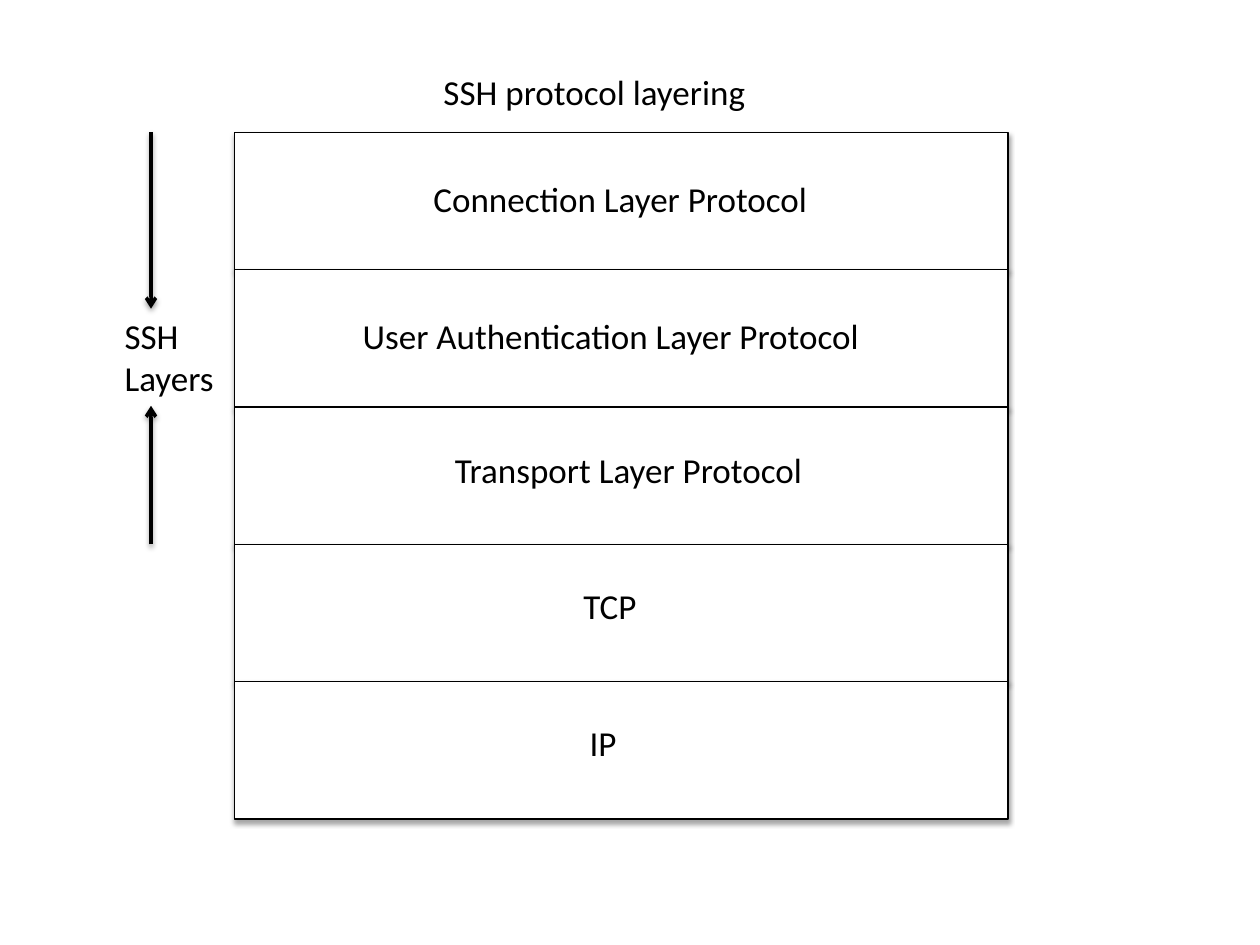
from dataclasses import dataclass

from lxml.etree import SubElement
from pptx import Presentation
from pptx.dml.color import RGBColor
from pptx.enum.shapes import MSO_CONNECTOR, MSO_SHAPE
from pptx.enum.text import MSO_ANCHOR, MSO_AUTO_SIZE, PP_ALIGN
from pptx.oxml.ns import qn
from pptx.util import Pt


@dataclass(frozen=True)
class Theme:
    ink: RGBColor = RGBColor(0, 0, 0)
    paper: RGBColor = RGBColor(255, 255, 255)
    font: str = "Calibri"
    text_size: float = 20
    box_line: float = 0.75
    arrow_line: float = 2


@dataclass(frozen=True)
class Box:
    left: float
    top: float
    width: float
    height: float


THEME = Theme()
LABEL_HEIGHT = 31.5

# Name, label offset from the row's left and top, label width
LAYERS = [
    ("Connection Layer Protocol", 106.6, 22.3, 268),
    ("User Authentication Layer Protocol", 66.2, 22.3, 307),
    ("Transport Layer Protocol", 118.8, 20.2, 253),
    ("TCP", 192.2, 19.4, 137),
    ("IP", 195.8, 19.4, 137),
]


def place(shape, box):
    shape.left, shape.top = Pt(box.left), Pt(box.top)
    shape.width, shape.height = Pt(box.width), Pt(box.height)


def write_text(shape, text, size=THEME.text_size, color=THEME.ink,
               align=PP_ALIGN.LEFT, anchor=MSO_ANCHOR.TOP):
    frame = shape.text_frame
    frame.text = text
    frame.word_wrap = True
    frame.auto_size = MSO_AUTO_SIZE.NONE
    frame.vertical_anchor = anchor
    for paragraph in frame.paragraphs:
        paragraph.alignment = align
        paragraph.font.name = THEME.font
        paragraph.font.size = Pt(size)
        paragraph.font.color.rgb = color


def add_label(slide, box, text):
    label = slide.shapes.add_textbox(0, 0, 0, 0)
    place(label, box)
    write_text(label, text)


def add_shadow(shape, opacity, distance):
    """Cast a soft black shadow straight down; call after the line is set."""
    properties = shape._element.spPr
    effects = SubElement(properties, qn("a:effectLst"))
    shadow = SubElement(effects, qn("a:outerShdw"), blurRad=str(Pt(3.1)),
                        dist=str(Pt(distance)), dir="5400000", rotWithShape="0")
    color = SubElement(shadow, qn("a:srgbClr"), val=str(THEME.ink))
    SubElement(color, qn("a:alpha"), val=str(opacity * 1000))


def add_arrow(slide, x, start, end):
    arrow = slide.shapes.add_connector(
        MSO_CONNECTOR.STRAIGHT, Pt(x), Pt(start), Pt(x), Pt(end))
    arrow.line.color.rgb = THEME.ink
    arrow.line.width = Pt(THEME.arrow_line)
    SubElement(arrow.line._get_or_add_ln(), qn("a:tailEnd"), type="arrow")
    add_shadow(arrow, opacity=38, distance=1.6)


def add_title(slide, box):
    place(slide.shapes.title, box)
    write_text(slide.shapes.title, "SSH protocol layering")


def add_layer_stack(slide, box):
    row_height = box.height / len(LAYERS)
    tops = [box.top + index * row_height for index in range(len(LAYERS))]
    for top in tops:
        row = slide.shapes.add_shape(MSO_SHAPE.RECTANGLE, 0, 0, 0, 0)
        place(row, Box(box.left, top, box.width, row_height))
        row.fill.solid()
        row.fill.fore_color.rgb = THEME.paper
        row.line.color.rgb = THEME.ink
        row.line.width = Pt(THEME.box_line)
        add_shadow(row, opacity=35, distance=1.8)
    for top, (name, indent, drop, width) in zip(tops, LAYERS):
        add_label(slide, Box(box.left + indent, top + drop, width, LABEL_HEIGHT), name)


def add_ssh_range(slide, box):
    """Mark the SSH layers with two arrows that point at a label."""
    arrow_x = box.left + 22.2
    label_top = box.top + 100.8
    label_height = 55.5
    add_arrow(slide, arrow_x, box.top, label_top)
    add_arrow(slide, arrow_x, box.top + box.height, label_top + label_height)
    add_label(slide, Box(box.left, label_top, box.width, label_height), "SSH\nLayers")


def main():
    presentation = Presentation()
    presentation.slide_width, presentation.slide_height = Pt(720), Pt(540)
    title_only = presentation.slide_layouts[5]
    slide = presentation.slides.add_slide(title_only)
    stack = Box(134, 75.6, 442, 392.5)
    ssh_height = stack.height * 3 / len(LAYERS)
    add_title(slide, Box(246.2, 36.7, 258, LABEL_HEIGHT))
    add_layer_stack(slide, stack)
    add_ssh_range(slide, Box(64.1, stack.top, 137, ssh_height))
    presentation.save("out.pptx")


if __name__ == "__main__":
    main()
